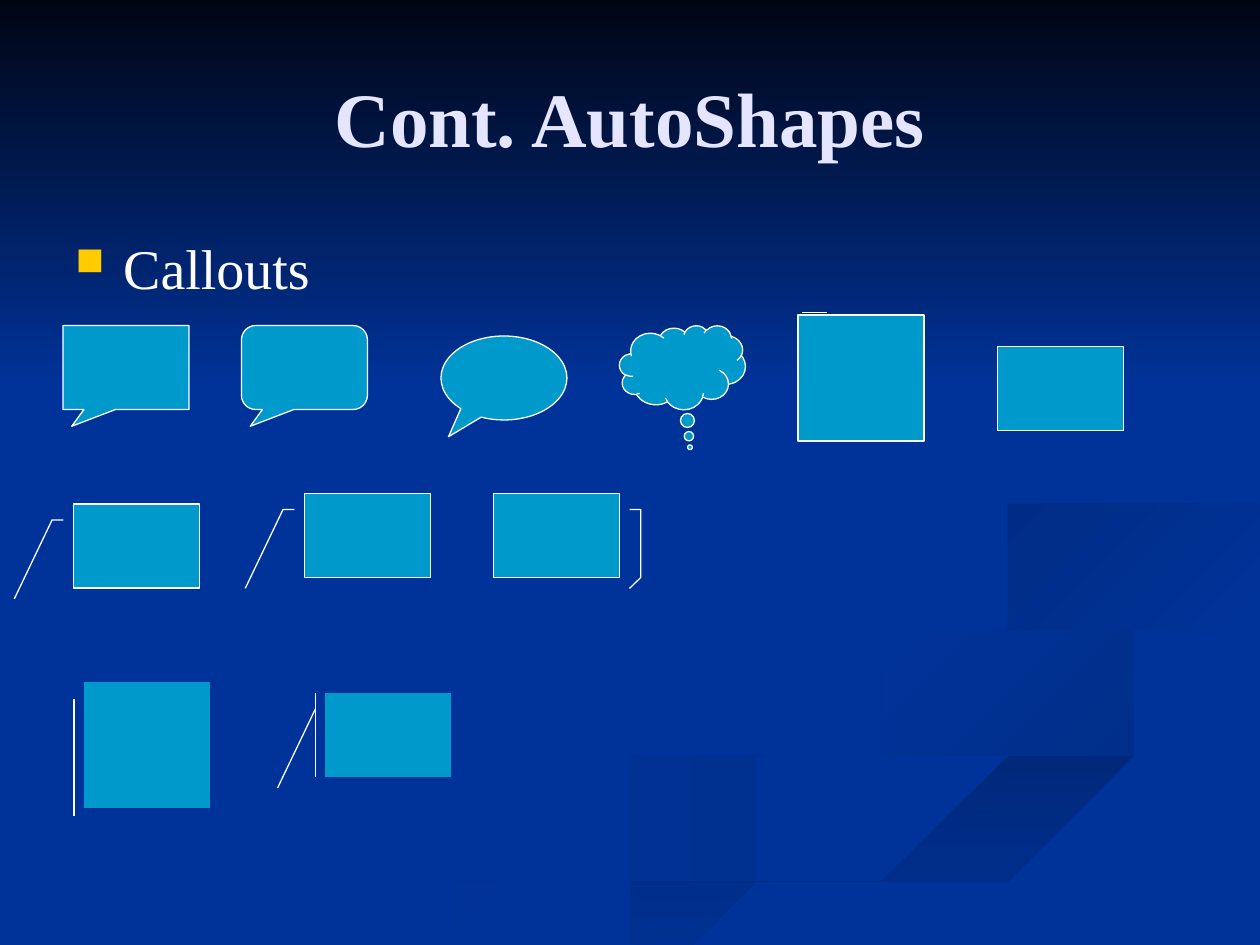
from lxml import etree
from pptx import Presentation
from pptx.dml.color import RGBColor
from pptx.enum.shapes import MSO_SHAPE as SHAPE
from pptx.enum.text import MSO_ANCHOR, PP_ALIGN
from pptx.oxml.ns import qn
from pptx.util import Inches, Pt

MIDDLE = MSO_ANCHOR.MIDDLE
CENTER = PP_ALIGN.CENTER
FONT = "Times New Roman"
BLUE, TEAL, WHITE = "003399", "0099CC", "FFFFFF"
UNIT = Inches(1) / 12  # the slide is a grid of 120 columns by 90 rows
STEPS = 5


def rgb(code):
    return RGBColor.from_string(code)


def grid(*cells):
    return [round(cell * UNIT) for cell in cells]


prs = Presentation()
prs.slide_width, prs.slide_height = grid(120, 90)
slide = prs.slides.add_slide(prs.slide_layouts[6])
slide.background.fill.solid()
slide.background.fill.fore_color.rgb = rgb(BLUE)

# Ribbons: first colour, last colour, angle, knots of the outline in inches
ribbons = [
    ("002E8A", BLUE, 180, [
        (5.75, 4.6), (5.93, 4.91), (6.97, 5.25), (7.81, 5.56), (7.74, 5.83),
        (6.84, 6.13), (4.99, 6.61), (3, 7.49), (3.61, 7.49), (4.99, 6.87),
        (7.21, 6.23), (7.91, 5.97), (7.92, 5.61), (7.15, 5.28), (6.02, 4.9)]),
    ("002E8A", BLUE, 135, [
        (7.24, 4.64), (7.46, 5), (8.38, 5.36), (9.07, 5.62), (9.14, 5.89),
        (8.94, 6.05), (9.37, 5.86), (9.39, 5.62), (8.7, 5.3), (7.58, 4.98)]),
    ("00297C", BLUE, 270, [
        (5.03, 7.49), (5.71, 7.49), (6.95, 6.92), (9.98, 6.09), (9.98, 5.81),
        (9.03, 6.1), (6.96, 6.69)]),
    (BLUE, "002C85", 135, [
        (7.81, 4.6), (7.91, 4.78), (8.26, 4.96), (8.05, 4.72), (8.43, 4.48),
        (9.98, 4.2), (9.98, 4.02), (8.65, 4.24), (7.99, 4.42)]),
    (BLUE, "002B81", 135, [
        (7.62, 2.33), (8.46, 2.79), (8.89, 3.35), (8.61, 3.7), (7.63, 3.98),
        (6.25, 4.26), (5.77, 4.62), (6.22, 5), (5.94, 4.65), (6.83, 4.3),
        (8.25, 4.02), (8.89, 3.62), (8.8, 3.07), (8.21, 2.61)]),
]
shades = []
for first, last, angle, knots in ribbons:
    curve = []
    for spot in range(len(knots)):
        # Catmull-Rom curve between knots b and c
        a, b, c, d = (knots[(spot + n) % len(knots)] for n in range(-1, 3))
        for step in range(STEPS):
            t = step / STEPS
            curve.append([
                q + t * (r - p + t * (2 * p - 5 * q + 4 * r - s
                                      + t * (3 * (q - r) + s - p))) / 2
                if step else q
                for p, q, r, s in zip(a, b, c, d)])
            if step:
                curve[-1] = [
                    (2 * q + t * (r - p) + t ** 2 * (2 * p - 5 * q + 4 * r - s)
                     + t ** 3 * (3 * (q - r) + s - p)) / 2
                    for p, q, r, s in zip(a, b, c, d)]
    curve = [(min(x, 10), min(y, 7.5)) for x, y in curve]
    pen = slide.shapes.build_freeform(*curve[0], scale=Inches(1))
    pen.add_line_segments(curve[1:], close=True)
    shades.append((pen.convert_to_shape(), first, last, angle))

band = slide.shapes.add_shape(SHAPE.RECTANGLE, *grid(0, 0, 120, 37))
shades.append((band, "000514", BLUE, 270))
for shape, first, last, angle in shades:
    shape.shadow.inherit = False
    shape.line.fill.background()
    shape.fill.gradient()
    shape.fill.gradient_angle = angle
    for place, stop in enumerate(shape.fill.gradient_stops):
        stop.color.rgb = rgb((first, last)[place])
        stop.position = place

title = slide.shapes.add_textbox(*grid(6, 3.6, 108, 15)).text_frame
title.word_wrap = True
title.vertical_anchor = MIDDLE
head = title.paragraphs[0]
head.text = "Cont. AutoShapes"
head.alignment = CENTER
head.font.name, head.font.size, head.font.bold = FONT, Pt(44), True
head.font.color.rgb = rgb("E5E5FF")

body = slide.shapes.add_textbox(*grid(6, 21.6, 108, 8)).text_frame
body.word_wrap = True
item = body.paragraphs[0]
item.text = "Callouts"
props = item._p.get_or_add_pPr()
props.set("marL", str(Inches(0.38)))
props.set("indent", str(-Inches(0.38)))
color = etree.SubElement(props, qn("a:buClr"))
etree.SubElement(color, qn("a:srgbClr"), val="FFCC00")
etree.SubElement(props, qn("a:buSzPct"), val="70000")
etree.SubElement(props, qn("a:buChar"), char="■")
item.font.name, item.font.size = FONT, Pt(32)
item.font.color.rgb = rgb(WHITE)

# Callouts: kind, column, row, height, pointer; each is 12 columns wide
bent = [0.19, -0.08, 0.19, -0.17, 1.13, -0.47]
callouts = [
    (SHAPE.RECTANGULAR_CALLOUT, 6, 31, 8, [-0.43, 0.7]),
    (SHAPE.ROUNDED_RECTANGULAR_CALLOUT, 23, 31, 8, [-0.43, 0.7, 0.17]),
    (SHAPE.OVAL_CALLOUT, 42, 32, 8, [-0.44, 0.7]),
    (SHAPE.CLOUD_CALLOUT, 59, 31, 8, [0.06, 0.95]),
    (SHAPE.LINE_CALLOUT_1, 76, 30, 12, [-0.02, 0.23, -0.02, 0.03]),
    (SHAPE.LINE_CALLOUT_1, 95, 33, 8, [0.19, -0.08, 0.19, -0.08]),
    (SHAPE.LINE_CALLOUT_2, 7, 48, 8, bent),
    (SHAPE.LINE_CALLOUT_2, 29, 47, 8, bent),
    (SHAPE.LINE_CALLOUT_3, 47, 47, 8,
     [0.19, 1.08, 0.19, 1.17, 1, 1.17, 1.13, 1.08]),
    (SHAPE.LINE_CALLOUT_1_NO_BORDER, 8, 65, 12, [1.06, -0.08, 0.13, -0.08]),
    (SHAPE.LINE_CALLOUT_1_ACCENT_BAR, 31, 66, 8, [0.19, -0.08, 1.13, -0.38]),
]
for kind, col, row, high, pointer in callouts:
    callout = slide.shapes.add_shape(kind, *grid(col, row, 12, high))
    callout.shadow.inherit = False
    callout.fill.solid()
    callout.fill.fore_color.rgb = rgb(TEAL)
    callout.line.color.rgb = rgb(WHITE)
    callout.line.width = Pt(0.75)
    for spot, value in enumerate(pointer):
        callout.adjustments[spot] = value

prs.save("out.pptx")
